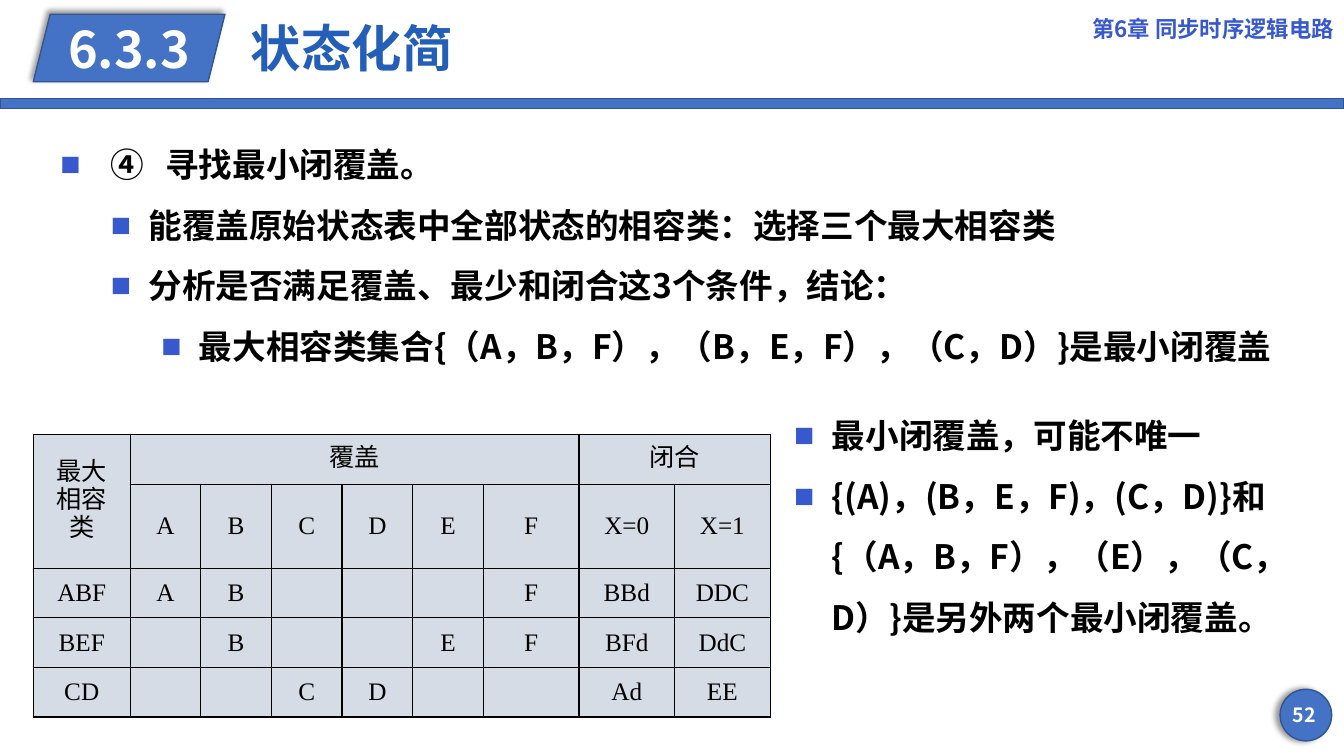
from lxml.etree import SubElement
from pptx import Presentation
from pptx.dml.color import RGBColor
from pptx.enum.shapes import MSO_SHAPE as Preset
from pptx.enum.text import MSO_ANCHOR as Anchor, MSO_AUTO_SIZE as AutoSize, PP_ALIGN as Align
from pptx.oxml.ns import qn
from pptx.util import Cm, Pt

COLORS = {
    "bar": "4472C4", "outline": "325491", "title": "235EB8", "accent": "3859CD",
    "cell": "D6DCE5", "text": "000000", "white": "FFFFFF",
}
SANS = "Noto Sans CJK SC"
SERIF = "Times New Roman"
STATES = "ABCDEF"


def color(name):
    return RGBColor.from_string(COLORS[name])


def add_node(parent, tag, **attributes):
    return SubElement(parent, qn(tag), {key: str(value) for key, value in attributes.items()})


class Page:
    def __init__(self, deck, layout):
        self.slide = deck.slides.add_slide(deck.slide_layouts[layout])

    def style(self, para, size, ink, align=Align.LEFT, font=SANS, bold=True):
        para.alignment = align
        para.font.name = font
        para.font.size = Pt(size)
        para.font.bold = bold
        para.font.color.rgb = color(ink)
        add_node(para._p.pPr.find(qn("a:defRPr")), "a:ea", typeface=SANS)

    def place(self, shape, box):
        shape.left, shape.top, shape.width, shape.height = map(Cm, box)

    def shape(self, preset, box, shadow_angle=None):
        shape = self.slide.shapes.add_shape(preset, *map(Cm, box))
        shape.shadow.inherit = False
        shape.fill.solid()
        shape.fill.fore_color.rgb = color("bar")
        shape.line.color.rgb = color("outline")
        shape.line.width = Pt(1)
        if shadow_angle is not None:
            effects = shape._element.spPr.find(qn("a:effectLst"))
            shadow = add_node(effects, "a:outerShdw", blurRad=Pt(4), dist=Pt(3),
                              dir=shadow_angle * 60000, algn="ctr", rotWithShape=0)
            ink = add_node(shadow, "a:srgbClr", val=COLORS["text"])
            add_node(ink, "a:alpha", val=40000)
        return shape

    def caption(self, shape, text, size, ink, align, wrap=True):
        frame = shape.text_frame
        frame.word_wrap = wrap
        frame.vertical_anchor = Anchor.MIDDLE
        frame.text = text
        self.style(frame.paragraphs[0], size, ink, align)

    def label(self, box, text, size, ink, align):
        self.caption(self.slide.shapes.add_textbox(*map(Cm, box)), text, size, ink, align)

    def title(self, box, text):
        title = self.slide.shapes.title
        self.place(title, box)
        self.caption(title, text, 36, "title", Align.LEFT)
        title.text_frame.paragraphs[0].line_spacing = 0.9

    def bullets(self, index, box, items):
        body = self.slide.placeholders[index]
        self.place(body, box)
        frame = body.text_frame
        frame.auto_size = AutoSize.SHAPE_TO_FIT_TEXT
        for number, (level, text) in enumerate(items):
            para = frame.add_paragraph() if number else frame.paragraphs[0]
            para.text = text
            para.level = level
            para.line_spacing = 1.5
            para.space_before = Pt(0)
            props = para._p.get_or_add_pPr()
            props.set("marL", str(Cm(0.95 + 1.27 * level)))
            props.set("indent", str(Cm(-0.95)))
            add_node(add_node(props, "a:buClr"), "a:srgbClr", val=COLORS["accent"])
            add_node(props, "a:buFont", typeface=SERIF)
            add_node(props, "a:buChar", char="■")
            if "\t" in text:
                tabs = add_node(props, "a:tabLst")
                for stop in (1.27, 2.64):
                    add_node(tabs, "a:tab", pos=Cm(stop), algn="l")
            self.style(para, 24, "text")

    def cell(self, cell, text):
        cell.fill.solid()
        cell.fill.fore_color.rgb = color("cell")
        cell.vertical_anchor = Anchor.MIDDLE
        cell.margin_left = cell.margin_right = Cm(0.28)
        cell.margin_top = cell.margin_bottom = 0
        cell.text = text
        para = cell.text_frame.paragraphs[0]
        para.line_spacing = Pt(20)
        self.style(para, 18, "text", Align.CENTER, SERIF, False)
        props = cell._tc.get_or_add_tcPr()
        for position, side in enumerate(("a:lnL", "a:lnR", "a:lnT", "a:lnB")):
            border = props.makeelement(qn(side), {"w": str(Pt(1))})
            add_node(add_node(border, "a:solidFill"), "a:srgbClr", val=COLORS["text"])
            props.insert(position, border)

    def table(self, left, top, widths, row_height, rows, merges):
        box = (left, top, sum(widths), row_height * len(rows))
        grid = self.slide.shapes.add_table(len(rows), len(widths), *map(Cm, box)).table
        for column, width in zip(grid.columns, widths):
            column.width = Cm(width)
        for row, texts in enumerate(rows):
            for column, text in enumerate(texts):
                self.cell(grid.cell(row, column), text)
        for first, last in merges:
            grid.cell(*first).merge(grid.cell(*last))


def cover_row(group, *closure):
    return [group, *(state if state in group else "" for state in STATES), *closure]


def main():
    deck = Presentation()
    deck.slide_width, deck.slide_height = Cm(33.87), Cm(19.05)
    page = Page(deck, 3)

    page.shape(Preset.RECTANGLE, (0, 2.49, 33.87, 0.25))
    page.shape(Preset.OVAL, (32.26, 17.37, 1.3, 1.3), 180)
    page.label((32.08, 17.5, 1.57, 1.02), "52", 14, "white", Align.CENTER)
    section = page.shape(Preset.PARALLELOGRAM, (0.84, 0.36, 4.83, 1.7), 225)
    page.caption(section, "6.3.3", 36, "white", Align.CENTER, wrap=False)
    page.title((6.07, 0.28, 17.48, 2.03), "状态化简")
    page.label((26.78, 0, 7.09, 1.42), "第6章 同步时序逻辑电路", 16, "accent", Align.RIGHT)

    page.table(
        0.84, 10.95, [2.44] + [1.78] * 5 + [2.41] * 3, 1.25,
        [
            ["最大相容类", "覆盖", "", "", "", "", "", "闭合", ""],
            ["", *STATES, "X=0", "X=1"],
            cover_row("ABF", "BBd", "DDC"),
            cover_row("BEF", "BFd", "DdC"),
            cover_row("CD", "Ad", "EE"),
        ],
        [((0, 0), (1, 0)), ((0, 1), (0, 6)), ((0, 7), (0, 8))],
    )
    page.bullets(1, (1.27, 3, 31.78, 6.4), [
        (0, "\t④\t寻找最小闭覆盖。"),
        (1, "能覆盖原始状态表中全部状态的相容类：选择三个最大相容类"),
        (1, "分析是否满足覆盖、最少和闭合这3个条件，结论："),
        (2, "最大相容类集合{（A，B，F），（B，E，F），（C，D）}是最小闭覆盖"),
    ])
    page.bullets(2, (19.76, 9.83, 13.28, 6.4), [
        (0, "最小闭覆盖，可能不唯一"),
        (0, "{(A)，(B，E，F)，(C，D)}和{（A，B，F），（E），（C，D）}是另外两个最小闭覆盖。"),
    ])
    deck.save("out.pptx")


if __name__ == "__main__":
    main()
